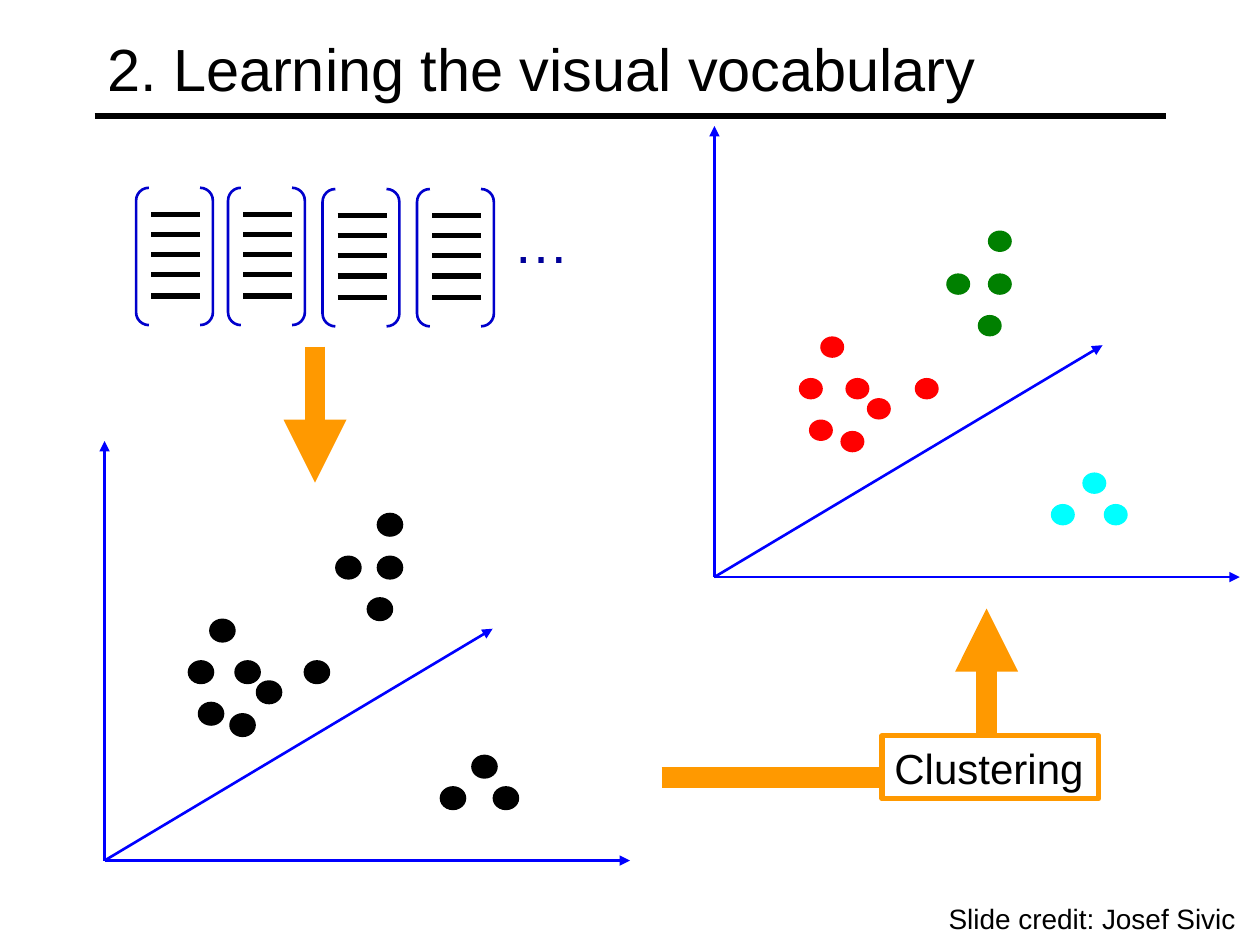
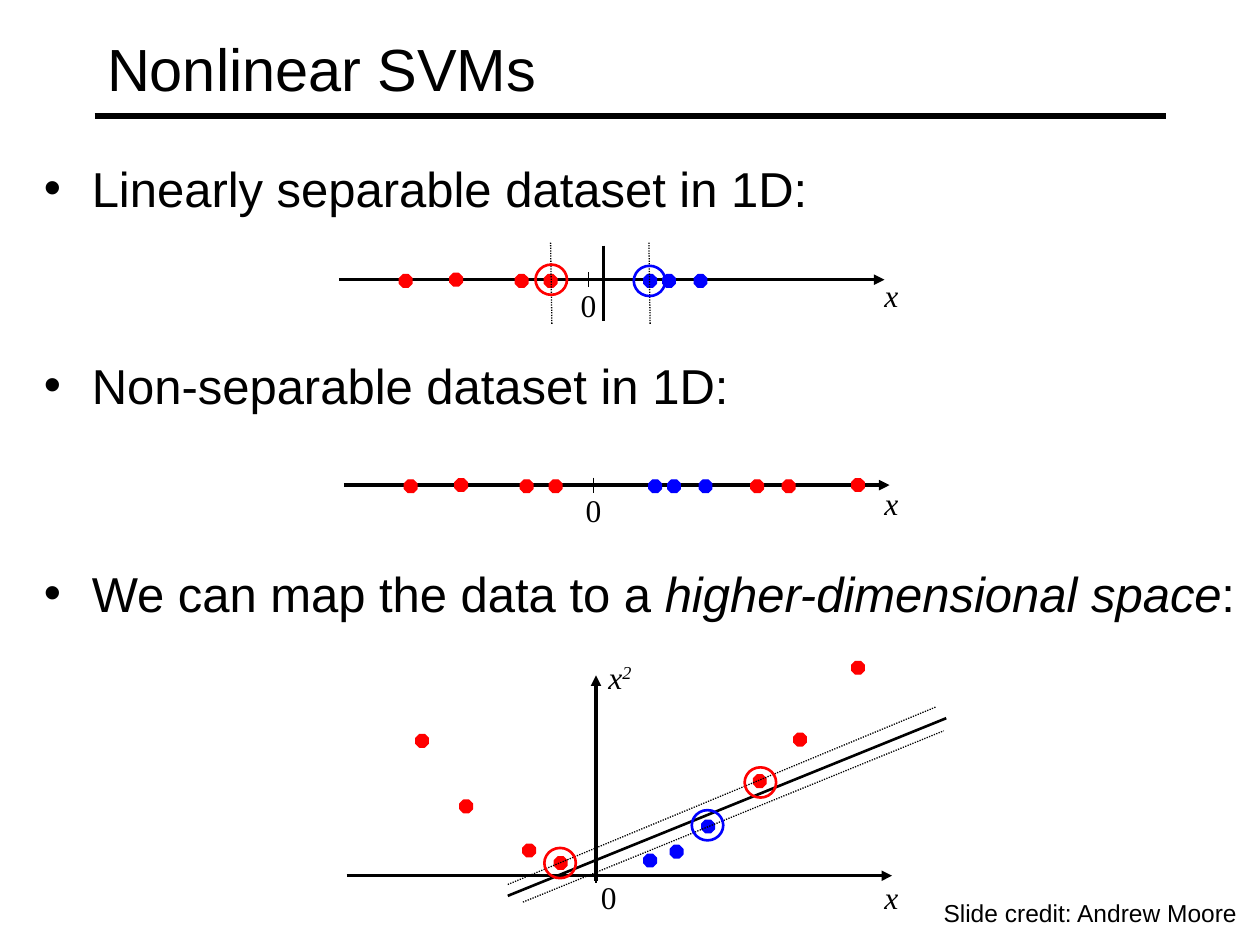
from dataclasses import dataclass
from lxml import etree
from pptx import Presentation
from pptx.dml.color import RGBColor
from pptx.enum.dml import MSO_LINE
from pptx.enum.shapes import MSO_CONNECTOR, MSO_SHAPE as SH
from pptx.enum.text import MSO_ANCHOR, MSO_AUTO_SIZE, PP_ALIGN
from pptx.oxml.ns import qn
from pptx.util import Inches, Pt


@dataclass(frozen=True)
class Theme:
    black: str = "000000"
    white: str = "FFFFFF"
    red: str = "FF0000"
    blue: str = "0000FF"
    green: str = "008000"
    cyan: str = "00FFFF"
    orange: str = "FF9900"
    bracket: str = "0000CC"
    ellipsis: str = "000099"
    sans: str = "Arial"
    serif: str = "Times New Roman"
    title: int = 34
    body: int = 28
    box: int = 24
    label: int = 18


T = Theme()

# Content: visual vocabulary
DESCRIPTORS = [(1.08, 1.49), (1.81, 1.49), (2.56, 1.5), (3.31, 1.5)]
BAR_OFFSETS = [0.21, 0.37, 0.53, 0.69, 0.86]
PLOT_ORIGINS = {"plain": (0.83, 6.83), "clustered": (5.67, 4.58)}
AXIS_HEIGHT = {"plain": 3.33, "clustered": 3.58}
CLUSTERS = {  # dot corners, measured from the plot origin
    T.red: [(1.04, -1.58), (1.21, -1.42), (0.67, -1.58), (1, -1.16),
            (0.75, -1.25), (1.59, -1.58), (0.84, -1.91)],
    T.green: [(2.17, -2.75), (2.09, -2.08), (1.84, -2.41), (2.17, -2.41)],
    T.cyan: [(3.09, -0.58), (2.92, -0.83), (2.67, -0.58)],
}

# Content: nonlinear SVMs; each bullet has its runs and the space above it
BULLETS = [
    (0, [("Linearly separable dataset in 1D:", False)]),
    (78.7, [("Non-separable dataset in 1D:", False)]),
    (85.5, [("We can map the data to a ", False),
            ("higher-dimensional space", True), (":", False)]),
]
INNER_1D = [(T.red, 0.48, -0.04), (T.red, 0.88, -0.05), (T.red, 1.4, -0.04),
            (T.red, 1.63, -0.04), (T.blue, 2.57, -0.04),
            (T.blue, 2.82, -0.04), (T.blue, 2.42, -0.04)]
OUTER_1D = [(T.red, 3.23, -0.04), (T.red, 3.48, -0.04), (T.red, 4.03, -0.05)]
MAPPED = {
    T.red: [(3.3, 5.83), (3.65, 6.35), (4.15, 6.7), (4.4, 6.8),
            (5.98, 6.15), (6.3, 5.82), (6.76, 5.25)],
    T.blue: [(5.32, 6.71), (5.57, 6.51), (5.11, 6.78)],
}
SUPPORT_VECTORS = [(T.red, 4.25, 2.1), (T.blue, 5.03, 2.11),
                   (T.red, 5.91, 6.09), (T.blue, 5.49, 6.43),
                   (T.red, 4.32, 6.73)]
MARGINS = [((5.16, 2.57), (5.15, 1.92)), ((4.38, 2.57), (4.37, 1.92)),
           ((4.03, 7.02), (7.43, 5.61)), ((4.15, 7.16), (7.49, 5.8))]
BOUNDARIES = [((4.79, 1.95), (4.79, 2.55)), ((4.03, 7.11), (7.51, 5.7))]


# Drawing helpers
def rgb(color):
    return RGBColor.from_string(color)


def set_font(font, **format_values):
    values = {"name": T.sans, "color": T.black} | format_values
    font.color.rgb = rgb(values.pop("color"))
    for name, value in values.items():
        setattr(font, name, value)


def line(s, start, end, color=T.black, width=1.5, arrow=False, dotted=False):
    c = s.shapes.add_connector(MSO_CONNECTOR.STRAIGHT,
                               *map(Inches, (*start, *end)))
    c.line.color.rgb = rgb(color)
    c.line.width = Pt(width)
    if dotted:
        c.line.dash_style = MSO_LINE.ROUND_DOT
    if arrow:
        etree.SubElement(c.line._get_or_add_ln(), qn("a:tailEnd"),
                         type="triangle")
    etree.SubElement(c._element.spPr, qn("a:effectLst"))


def shape(s, kind, box, fill=None, outline=None, width=1.5):
    sp = s.shapes.add_shape(kind, *map(Inches, box))
    sp.shadow.inherit = False
    if fill:
        sp.fill.solid()
        sp.fill.fore_color.rgb = rgb(fill)
    else:
        sp.fill.background()
    if outline:
        sp.line.color.rgb = rgb(outline)
        sp.line.width = Pt(width)
    else:
        sp.line.fill.background()
    return sp


def write(sp, runs, size, wrap=False, **format_values):
    tf = sp.text_frame
    tf.word_wrap = wrap
    p = tf.paragraphs[0]
    p.alignment = PP_ALIGN.LEFT
    for text, extra in runs:
        r = p.add_run()
        r.text = text
        set_font(r.font, size=Pt(size), **format_values)
        if extra:
            r.font._element.set("baseline", extra)


def text(s, box, content, size, **format_values):
    write(s.shapes.add_textbox(*map(Inches, box)), [(content, None)], size,
          **format_values)


def label(s, x, y, content, power=None):
    runs = [(content, None)] + ([(power, "30000")] if power else [])
    write(s.shapes.add_textbox(*map(Inches, (x, y, 0.5, 0.4))), runs, T.label,
          wrap=True, name=T.serif, italic=content == "x")


def new_slide(prs, title):
    s = prs.slides.add_slide(prs.slide_layouts[5])
    sp = s.shapes.title
    for side, value in zip(("left", "top", "width", "height"),
                           (0.75, 0.08, 8.5, 0.92)):
        setattr(sp, side, Inches(value))
    tf = sp.text_frame
    tf.text = title
    tf.auto_size = MSO_AUTO_SIZE.NONE
    tf.vertical_anchor = MSO_ANCHOR.MIDDLE
    tf.paragraphs[0].alignment = PP_ALIGN.LEFT
    set_font(tf.paragraphs[0].runs[0].font, size=Pt(T.title))
    line(s, (0.75, 0.92), (9.25, 0.92), width=3)
    return s


# Slide 1 parts
def descriptor(s, x, y):
    shape(s, SH.DOUBLE_BRACKET, (x, y, 0.61, 1.09), outline=T.bracket)
    for dy in BAR_OFFSETS:
        line(s, (x + 0.12, y + dy), (x + 0.51, y + dy), width=3)


def feature_space(s, name):
    x, y = PLOT_ORIGINS[name]
    for dx, dy in [(0, -AXIS_HEIGHT[name]), (4.17, 0), (3.08, -1.84)]:
        line(s, (x, y), (x + dx, y + dy), T.blue, arrow=True)
    for color, dots in CLUSTERS.items():
        fill, outline = ((color, None) if name == "clustered"
                         else (T.black, T.black))
        for dx, dy in dots:
            shape(s, SH.OVAL, (x + dx, y + dy, 0.19, 0.17), fill, outline)


def vocabulary_slide(prs):
    s = new_slide(prs, "2. Learning the visual vocabulary")
    for x, y in DESCRIPTORS:
        descriptor(s, x, y)
    text(s, (3.98, 1.6, 0.65, 0.63), "…", 32, color=T.ellipsis)
    for name in PLOT_ORIGINS:
        feature_space(s, name)
    # Flow from descriptors to clusters
    line(s, (2.5, 2.75), (2.5, 3.83), T.orange, 12, arrow=True)
    line(s, (5.25, 6.17), (7.5, 6.17), T.orange, 12)
    line(s, (7.83, 6.17), (7.83, 4.83), T.orange, 12, arrow=True)
    step = shape(s, SH.RECTANGLE, (7, 5.84, 1.72, 0.5), T.white, T.orange, 3)
    write(step, [("Clustering", None)], T.box)
    text(s, (7.43, 7.11, 2.48, 0.37), "Slide credit: Josef Sivic", 16)


# Slide 2 parts
def bullets(s):
    tf = s.shapes.add_textbox(*map(Inches, (0.25, 1.21, 9.75, 5.5))).text_frame
    tf.word_wrap = True
    for i, (space, runs) in enumerate(BULLETS):
        p = tf.add_paragraph() if i else tf.paragraphs[0]
        pPr = p._p.get_or_add_pPr()
        pPr.set("marL", str(Inches(0.38)))
        pPr.set("indent", str(Inches(-0.38)))
        etree.SubElement(pPr, qn("a:buFont"), typeface=T.sans)
        etree.SubElement(pPr, qn("a:buChar"), char="•")
        if space:
            p.space_before = Pt(space)
        for content, italic in runs:
            r = p.add_run()
            r.text = content
            set_font(r.font, size=Pt(T.body), italic=italic)


def point(s, color, x, y):
    shape(s, SH.OCTAGON, (x, y, 0.1, 0.1), color, color, 0.75)


def x_axis(s, x, y, zero=1.98):
    line(s, (x, y), (x + 4.33, y), width=2, arrow=True)
    line(s, (x + zero, y - 0.06), (x + zero, y + 0.06), width=0.75)


def dataset_1d(s, x, y, points, x_label_top):
    x_axis(s, x, y)
    for color, dx, dy in points:
        point(s, color, x + dx, y + dy)
    label(s, x + 1.82, y, "0")
    label(s, 6.92, x_label_top, "x")


def svm_slide(prs):
    s = new_slide(prs, "Nonlinear SVMs")
    bullets(s)
    dataset_1d(s, 2.69, 2.22, INNER_1D, 2.14)
    dataset_1d(s, 2.73, 3.85, INNER_1D + OUTER_1D, 3.79)
    # Data mapped to two dimensions
    x_axis(s, 2.75, 6.95)
    line(s, (4.73, 6.99), (4.73, 5.36), width=2, arrow=True)
    for color, points in MAPPED.items():
        for x, y in points:
            point(s, color, x, y)
    label(s, 4.67, 6.92, "0")
    label(s, 6.92, 6.92, "x")
    label(s, 4.73, 5.17, "x", power="2")
    # Separators, margins and support vectors
    for start, end in BOUNDARIES:
        line(s, start, end)
    for start, end in MARGINS:
        line(s, start, end, width=0.75, dotted=True)
    for color, x, y in SUPPORT_VECTORS:
        shape(s, SH.OVAL, (x, y, 0.25, 0.24), outline=color)
    text(s, (7.39, 7.08, 2.53, 0.33), "Slide credit: Andrew Moore", 14)


def main():
    prs = Presentation()
    prs.slide_width, prs.slide_height = Inches(10), Inches(7.5)
    vocabulary_slide(prs)
    svm_slide(prs)
    prs.save("out.pptx")


if __name__ == "__main__":
    main()
